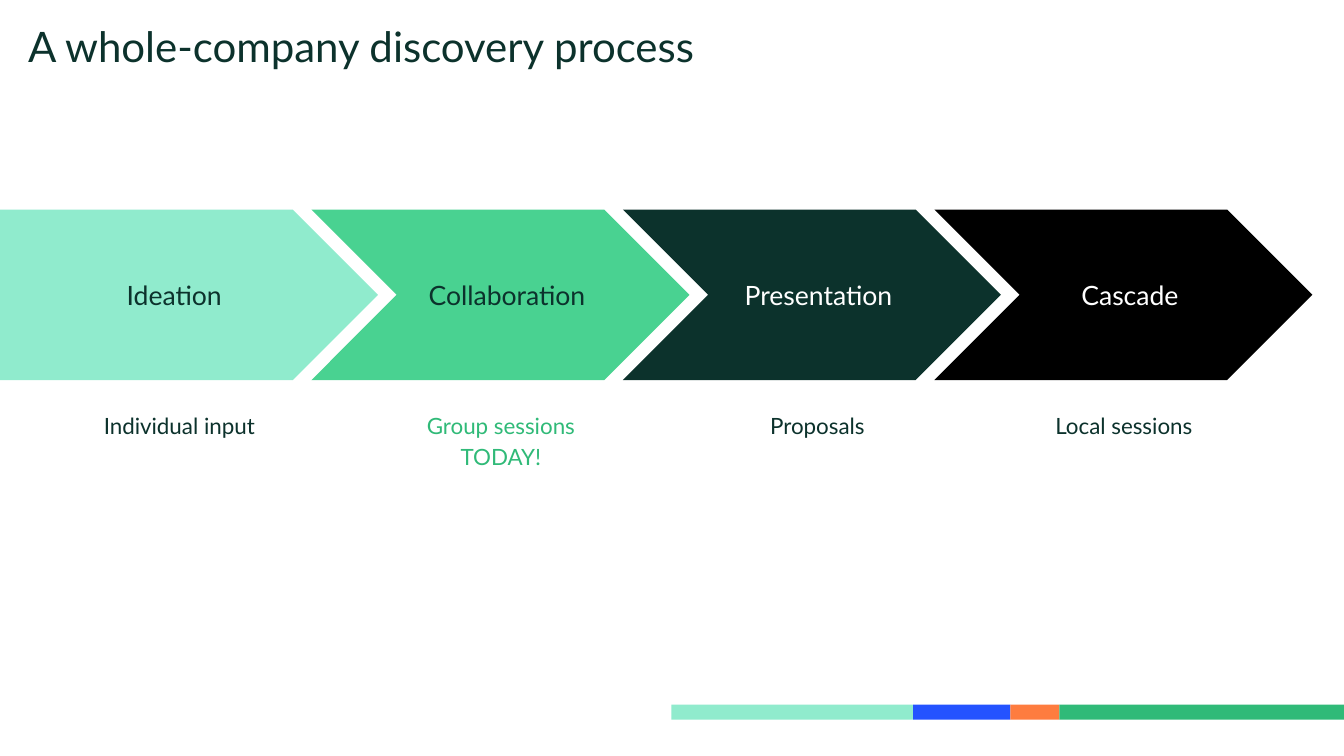
from dataclasses import dataclass

from pptx import Presentation
from pptx.dml.color import RGBColor
from pptx.enum.shapes import MSO_SHAPE
from pptx.enum.text import MSO_ANCHOR, PP_ALIGN
from pptx.util import Pt


@dataclass(frozen=True)
class Theme:
    font: str = "Lato"
    title_size: float = 30
    stage_size: float = 19
    caption_size: float = 16
    dark: str = "0C322C"
    mint: str = "90EBCD"
    green: str = "49D291"
    emerald: str = "30BA78"
    blue: str = "2453FF"
    orange: str = "FE7C3F"
    black: str = "000000"
    white: str = "FFFFFF"


THEME = Theme()
INSET = 9.36

# Process row
STAGE_STEP, STAGE_TOP, STAGE_WIDTH, STAGE_HEIGHT = 222.48, 149.76, 270, 121.68
CAPTION_TOP, CAPTION_WIDTH = 282.24, 191.52

# Stage name, fill, text colour
STAGES = [
    ("Ideation", THEME.mint, THEME.dark),
    ("Collaboration", THEME.green, THEME.dark),
    ("Presentation", THEME.dark, THEME.white),
    ("Cascade", THEME.black, THEME.white),
]
# Left, height, colour, lines
CAPTIONS = [
    (32.4, 105.84, THEME.dark, ["Individual input"]),
    (262.08, 150.48, THEME.emerald, ["Group sessions", "TODAY!"]),
    (488.16, 128.16, THEME.dark, ["Proposals"]),
    (707.04, 105.84, THEME.dark, ["Local sessions"]),
]
# Width, fill
STRIP_LEFT, STRIP_TOP, STRIP_HEIGHT = 479.5, 503.3, 10.8
STRIP = [
    (172.8, THEME.mint),
    (69.4, THEME.blue),
    (35.1, THEME.orange),
    (203.2, THEME.emerald),
]


def set_text(frame, lines, size, color, align, insets, line_spacing=None):
    frame.word_wrap = True
    (frame.margin_left, frame.margin_top,
     frame.margin_right, frame.margin_bottom) = map(Pt, insets)
    for index, line in enumerate(lines):
        paragraph = frame.add_paragraph() if index else frame.paragraphs[0]
        paragraph.text = line
        paragraph.alignment = align
        paragraph.line_spacing = line_spacing
        paragraph.font.name = THEME.font
        paragraph.font.size = Pt(size)
        paragraph.font.color.rgb = RGBColor.from_string(color)


def add_block(slide, kind, left, top, width, height, fill):
    shape = slide.shapes.add_shape(kind, Pt(left), Pt(top), Pt(width), Pt(height))
    shape.shadow.inherit = False
    shape.fill.solid()
    shape.fill.fore_color.rgb = RGBColor.from_string(fill)
    shape.line.fill.background()
    return shape


def add_stage(slide, index, name, fill, color):
    kind = MSO_SHAPE.CHEVRON if index else MSO_SHAPE.PENTAGON
    shape = add_block(slide, kind, index * STAGE_STEP, STAGE_TOP,
                      STAGE_WIDTH, STAGE_HEIGHT, fill)
    shape.adjustments[0] = 0.5
    shape.text_frame.vertical_anchor = MSO_ANCHOR.MIDDLE
    set_text(shape.text_frame, [name], THEME.stage_size, color,
             PP_ALIGN.CENTER, (INSET, 0, 0, 0))


def add_text(slide, left, top, width, height, lines, size, color, align,
             line_spacing=None):
    box = slide.shapes.add_textbox(Pt(left), Pt(top), Pt(width), Pt(height))
    set_text(box.text_frame, lines, size, color, align, [INSET] * 4, line_spacing)


def add_strip(slide):
    left = STRIP_LEFT
    for width, fill in STRIP:
        add_block(slide, MSO_SHAPE.RECTANGLE, left, STRIP_TOP, width,
                  STRIP_HEIGHT, fill)
        left += width


def main():
    presentation = Presentation()
    presentation.slide_width, presentation.slide_height = Pt(960), Pt(540)
    slide = presentation.slides.add_slide(presentation.slide_layouts[6])

    # Footer colour strip
    add_strip(slide)

    # Process stages
    for index, (name, fill, color) in enumerate(STAGES):
        add_stage(slide, index, name, fill, color)

    # Captions below the stages
    for left, height, color, lines in CAPTIONS:
        add_text(slide, left, CAPTION_TOP, CAPTION_WIDTH, height, lines,
                 THEME.caption_size, color, PP_ALIGN.CENTER, 1.15)

    # Title
    add_text(slide, 10.8, 5.04, 820.8, 105.84,
             ["A whole-company discovery process"],
             THEME.title_size, THEME.dark, PP_ALIGN.LEFT)

    presentation.save("out.pptx")


if __name__ == "__main__":
    main()
